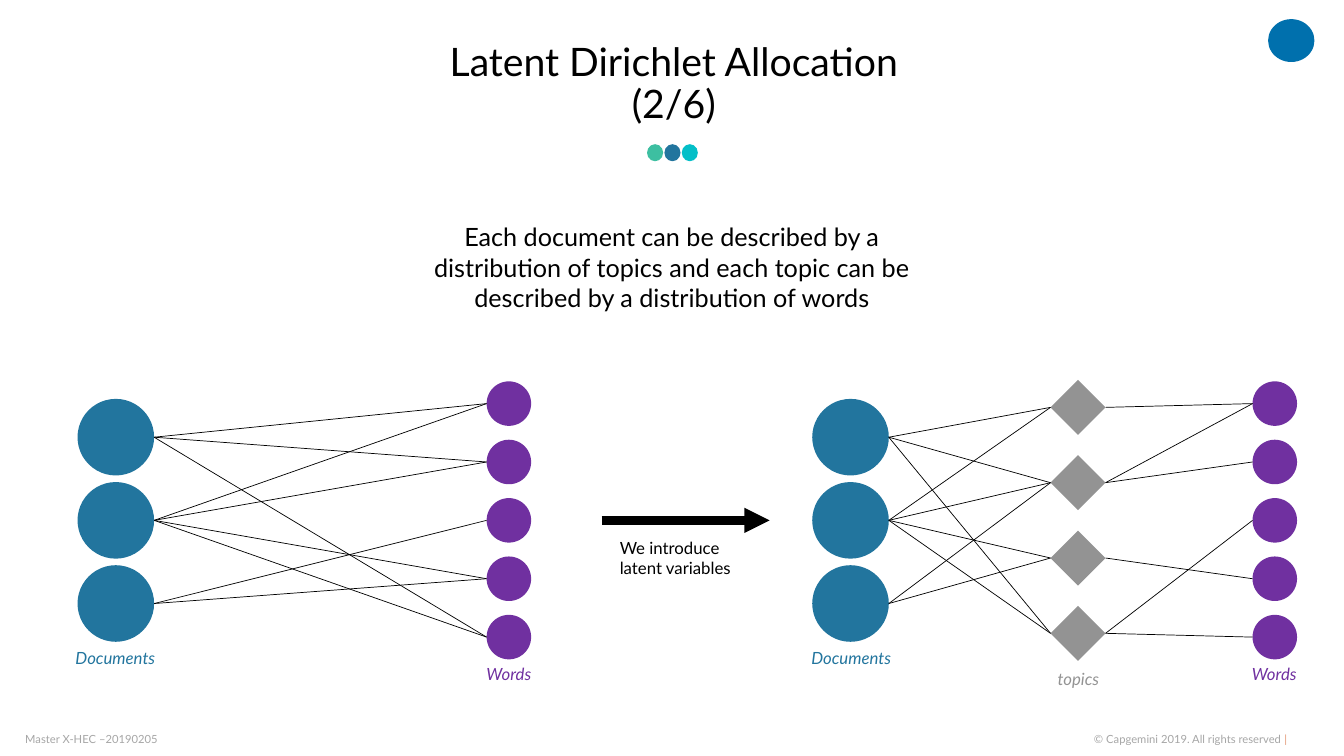
import pptx
import pptx.util
import pptx.dml.color
import pptx.enum.shapes
import pptx.enum.text
import pptx.oxml
import pptx.oxml.ns

Pt = pptx.util.Pt
SHAPES = pptx.enum.shapes.MSO_SHAPE
ALIGN = pptx.enum.text.PP_ALIGN
ANCHOR = pptx.enum.text.MSO_ANCHOR
BLACK, BLUE, PURPLE, GREY = "000000", "22759E", "7030A0", "939393"

presentation = pptx.Presentation()
presentation.slide_width = Pt(960)
presentation.slide_height = Pt(540)
slide = presentation.slides.add_slide(presentation.slide_layouts[6])


def paint(fill, colour):
    fill.solid()
    fill.fore_color.rgb = pptx.dml.color.RGBColor.from_string(colour)


def add_text(text, left, top, width, height, size=12, colour=BLACK, italic=False,
             align=ALIGN.CENTER, anchor=ANCHOR.TOP, wrap=True, inset=True, spacing=None):
    box = slide.shapes.add_textbox(Pt(left), Pt(top), Pt(width), Pt(height))
    frame = box.text_frame
    frame.text = text
    frame.word_wrap = wrap
    frame.vertical_anchor = anchor
    if not inset:
        frame.margin_left = frame.margin_right = frame.margin_top = frame.margin_bottom = 0
    for paragraph in frame.paragraphs:
        paragraph.alignment = align
        paragraph.line_spacing = spacing
        paragraph.font.name = "Lato"
        paragraph.font.size = Pt(size)
        paragraph.font.italic = italic
        paint(paragraph.font.fill, colour)
    return frame


# Footer
footer = add_text("© Capgemini 2019. All rights reserved ", 709.9, 523.4, 209.5, 9.4, size=8,
                  colour="A6A6A6", align=ALIGN.RIGHT, anchor=ANCHOR.MIDDLE, inset=False)
bar = footer.paragraphs[0].add_run()
bar.text = "|"
paint(bar.font.fill, "E39774")
add_text("Master X-HEC –20190205", 18, 523.4, 371.5, 9.4, size=8, colour="A6A6A6",
         align=ALIGN.LEFT, anchor=ANCHOR.MIDDLE, wrap=False, inset=False)

# Title and statement
add_text("Latent Dirichlet Allocation\v(2/6)", 32.4, 19.4, 897.8, 82.1, size=28,
         anchor=ANCHOR.MIDDLE, spacing=0.9)
add_text("Each document can be described by a distribution of topics and each topic "
         "can be described by a distribution of\u00a0words", 282.2, 154.8, 395.3, 72.7, size=18)

# Corner mark and title dots: kind, left, top, width, height, colour
figures = [(SHAPES.OVAL, 905.8, 13.7, 33.1, 30.6, "0070AD")]
for index, colour in enumerate(["3DBFA1", BLUE, "04BFC8"]):
    figures.append((SHAPES.OVAL, 462.2 + 12.4 * index, 103, 11.5, 12.2, colour))

# Node columns, all centred on one line: kind, left, size, count, step, colour
MIDDLE = 371.7
columns = {
    "documents": (SHAPES.OVAL, 55.4, 54.7, 3, 59.4, BLUE),
    "words": (SHAPES.OVAL, 347.6, 31.8, 5, 41.7, PURPLE),
    "latent documents": (SHAPES.OVAL, 580.2, 54.7, 3, 59.4, BLUE),
    "topics": (SHAPES.DIAMOND, 750.4, 39.3, 4, 53.8, GREY),
    "latent words": (SHAPES.OVAL, 894.7, 31.8, 5, 41.7, PURPLE),
}
centres = {}
for name, (kind, left, size, count, step, colour) in columns.items():
    centres[name] = [MIDDLE + step * (index - (count - 1) / 2) for index in range(count)]
    for centre in centres[name]:
        figures.append((kind, left, centre - size / 2, size, size, colour))

for kind, left, top, width, height, colour in figures:
    shape = slide.shapes.add_shape(kind, Pt(left), Pt(top), Pt(width), Pt(height))
    shape.shadow.inherit = False
    shape.line.fill.background()
    paint(shape.fill, colour)

# Links between columns: for each source node, the target nodes it reaches
links = [
    ("documents", "words", [(0, 1, 4), (0, 1, 3, 4), (2, 3)]),
    ("latent documents", "topics", [(0, 1, 3), (0, 1, 2, 3), (1, 2)]),
    ("topics", "latent words", [(0,), (0, 1), (3,), (2, 4)]),
]
lines = [(429.8, MIDDLE, 549.7, MIDDLE, 6)]
for source, target, reached in links:
    start = columns[source][1] + columns[source][2]
    end = columns[target][1]
    for index, targets in enumerate(reached):
        for other in targets:
            lines.append((start, centres[source][index], end, centres[target][other], 0.5))

for start_x, start_y, end_x, end_y, weight in lines:
    connector = slide.shapes.add_connector(pptx.enum.shapes.MSO_CONNECTOR.STRAIGHT,
                                           Pt(start_x), Pt(start_y), Pt(end_x), Pt(end_y))
    connector.line.width = Pt(weight)
    paint(connector.line.fill, BLACK)
    if weight == 6:  # the thick line is the arrow
        head = pptx.oxml.parse_xml(f'<a:tailEnd {pptx.oxml.ns.nsdecls("a")} type="triangle"/>')
        connector.line.fill._xPr.append(head)
    properties = connector._element.spPr
    properties.append(pptx.oxml.parse_xml(f'<a:effectLst {pptx.oxml.ns.nsdecls("a")}/>'))

# Captions
for text, left, top, width, colour in [
    ("Documents", 44.6, 459.4, 75.6, BLUE),
    ("Words", 339.8, 470.9, 47.5, PURPLE),
    ("Documents", 570.2, 459.4, 75.6, BLUE),
    ("topics", 748, 474.5, 44.6, GREY),
    ("Words", 886.5, 470.9, 47.5, PURPLE),
]:
    add_text(text, left, top, width, 21.6, colour=colour, italic=True, wrap=False)
add_text("We introduce\nlatent variables", 435.6, 380.2, 95, 36, align=ALIGN.JUSTIFY, wrap=False)

presentation.save("out.pptx")
